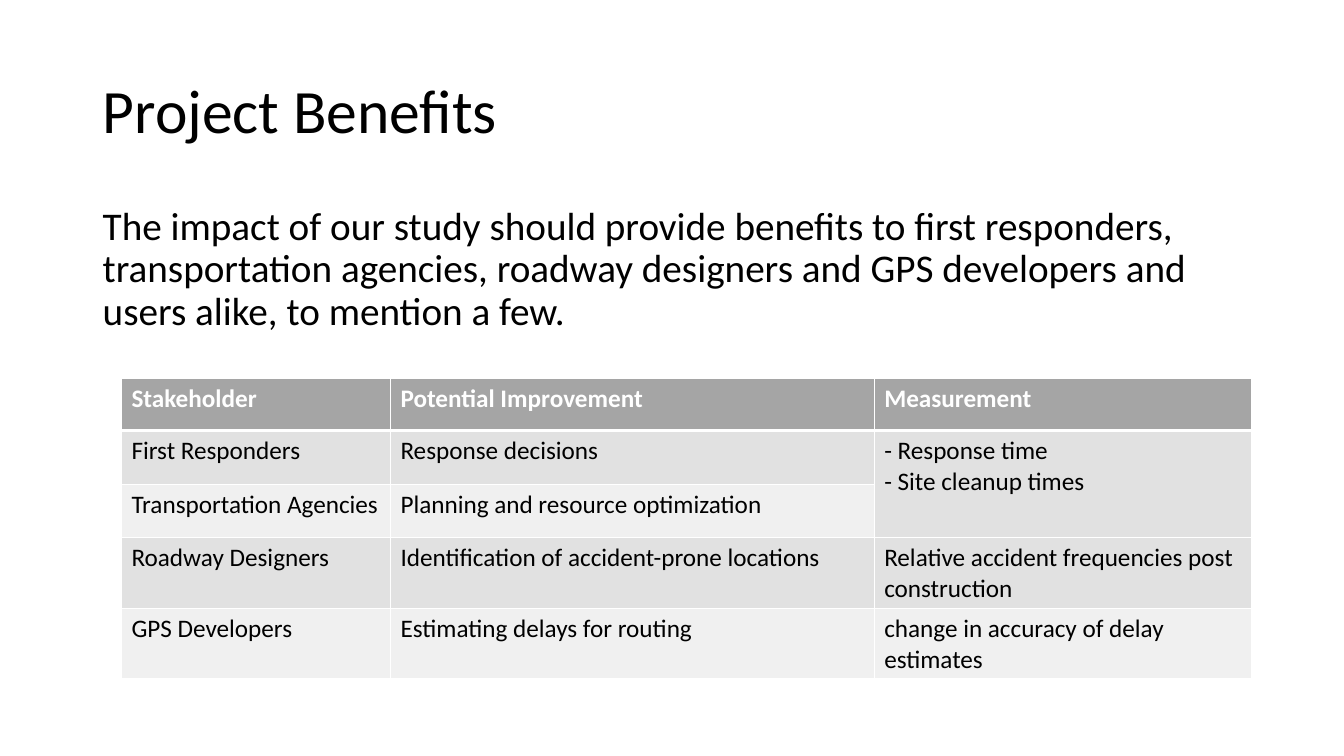
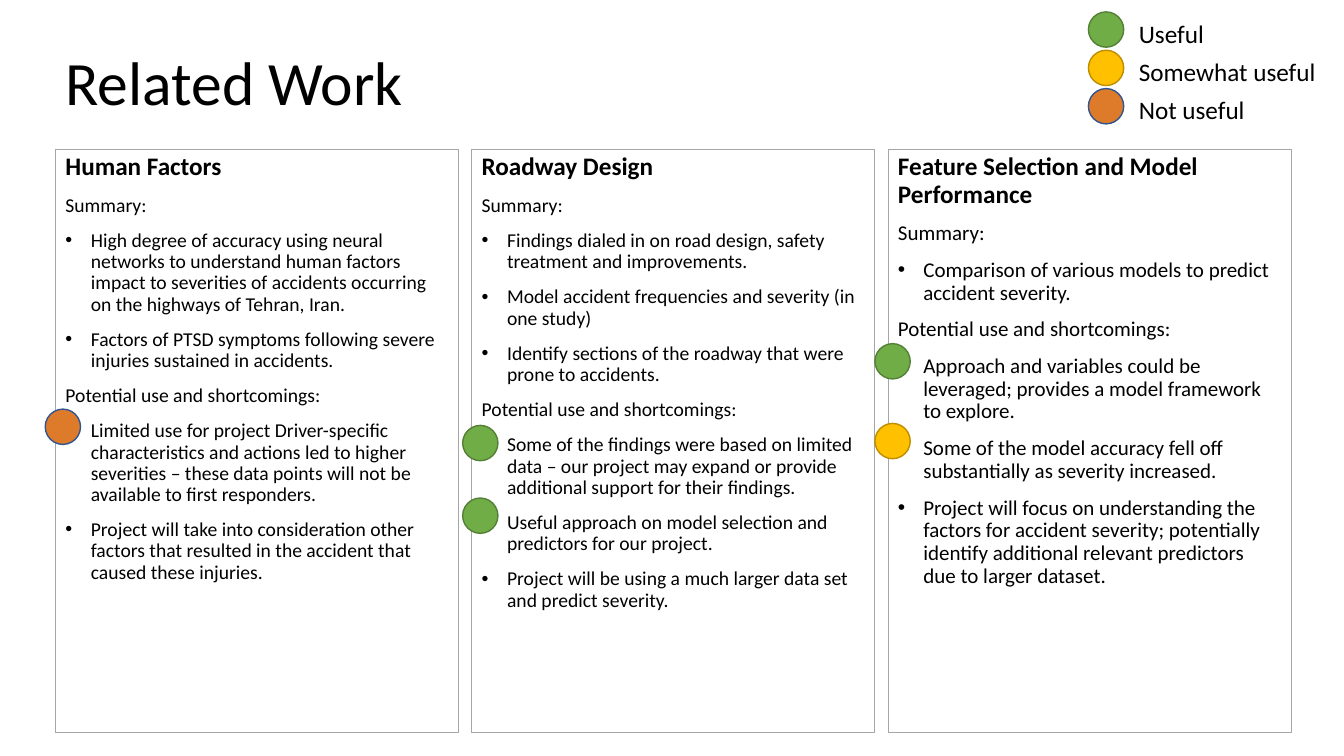
from dataclasses import dataclass

from lxml import etree
from pptx import Presentation
from pptx.dml.color import RGBColor
from pptx.enum.shapes import MSO_SHAPE
from pptx.enum.text import MSO_ANCHOR
from pptx.oxml.ns import qn
from pptx.util import Cm, Pt

RECT, OVAL = MSO_SHAPE.RECTANGLE, MSO_SHAPE.OVAL
TOP, MIDDLE = MSO_ANCHOR.TOP, MSO_ANCHOR.MIDDLE

FONT = "Calibri"
BLACK = RGBColor(0x00, 0x00, 0x00)
WHITE = RGBColor(0xFF, 0xFF, 0xFF)
HEADER_GREY = RGBColor(0xA5, 0xA5, 0xA5)
BAND_DARK = RGBColor(0xE1, 0xE1, 0xE1)
BAND_LIGHT = RGBColor(0xF0, 0xF0, 0xF0)
FRAME_GREY = RGBColor(0xA6, 0xA6, 0xA6)

USEFUL, SOMEWHAT, NOT_USEFUL = "Useful", "Somewhat useful", "Not useful"
RATINGS = {
    USEFUL: (RGBColor(0x70, 0xAD, 0x47), RGBColor(0x53, 0x80, 0x35)),
    SOMEWHAT: (RGBColor(0xFF, 0xC0, 0x00), RGBColor(0xBD, 0x8E, 0x00)),
    NOT_USEFUL: (RGBColor(0xDE, 0x7B, 0x2A), RGBColor(0x32, 0x54, 0x91)),
}
DOT = 0.89
INDENT = 0.64

INTRO = ("The impact of our study should provide benefits to first responders, "
         "transportation agencies, roadway designers and GPS developers and "
         "users alike, to mention a few.")
BENEFITS = [
    ["Stakeholder", "Potential Improvement", "Measurement"],
    ["First Responders", "Response decisions",
     "- Response time\n- Site cleanup times"],
    ["Transportation Agencies", "Planning and resource optimization", ""],
    ["Roadway Designers", "Identification of accident-prone locations",
     "Relative accident frequencies post construction"],
    ["GPS Developers", "Estimating delays for routing",
     "change in accuracy of delay estimates"],
]
COL_WIDTHS = [6.78, 12.19, 9.5]
HEADER_HEIGHT, ROW_HEIGHT = 1.32, 1.35


@dataclass
class Box:
    """A region in centimetres."""
    left: float
    top: float
    width: float
    height: float

    def lengths(self):
        """Return the region as slide lengths."""
        return Cm(self.left), Cm(self.top), Cm(self.width), Cm(self.height)


@dataclass
class Topic:
    """One column of related work, with dots as (rating, offset from top)."""
    heading: str
    size: int
    summary: list
    uses: list
    dot_left: float
    dots: list


TOPICS = [
    Topic("Human Factors", 14, [
        "High degree of accuracy using neural networks to understand human "
        "factors impact to severities of accidents occurring on the highways "
        "of Tehran, Iran.",
        "Factors of PTSD symptoms following severe injuries sustained in "
        "accidents.",
    ], [
        "Limited use for project Driver-specific characteristics and actions "
        "led to higher severities – these data points will not be available "
        "to first responders.",
        "Project will take into consideration other factors that resulted in "
        "the accident that caused these injuries.",
    ], -0.26, [(NOT_USEFUL, 6.55)]),
    Topic("Roadway Design", 14, [
        "Findings dialed in on road design, safety treatment and improvements.",
        "Model accident frequencies and severity (in one study)",
        "Identify sections of the roadway that were prone to accidents.",
    ], [
        "Some of the findings were based on limited data – our project may "
        "expand or provide additional support for their findings.",
        "Useful approach on model selection and predictors for our project.",
        "Project will be using a much larger data set and predict severity.",
    ], -0.23, [(USEFUL, 6.96), (USEFUL, 8.79)]),
    Topic("Feature Selection and Model Performance", 15, [
        "Comparison of various models to predict accident severity.",
    ], [
        "Approach and variables could be leveraged; provides a model framework "
        "to explore.",
        "Some of the model accuracy fell off substantially as severity "
        "increased.",
        "Project will focus on understanding the factors for accident "
        "severity; potentially identify additional relevant predictors due to "
        "larger dataset.",
    ], -0.33, [(USEFUL, 4.9), (SOMEWHAT, 6.91)]),
]


def add_run(p, text, size, color=BLACK, bold=False):
    """Add one styled run to a paragraph."""
    r = p.add_run()
    r.text = text
    r.font.name = FONT
    r.font.size = Pt(size)
    r.font.bold = bold
    r.font.color.rgb = color


def add_text(s, box, text, size, anchor=TOP, spacing=0.9):
    """Add a wrapping text box with a single paragraph."""
    tf = s.shapes.add_textbox(*box.lengths()).text_frame
    tf.word_wrap = True
    tf.vertical_anchor = anchor
    p = tf.paragraphs[0]
    p.line_spacing = spacing
    add_run(p, text, size)


def add_title(s, box, text):
    """Add the slide title."""
    add_text(s, box, text, 44, MIDDLE)


def add_bullet(p):
    """Give a paragraph a hanging round bullet."""
    pPr = p._p.get_or_add_pPr()
    pPr.set("marL", str(Cm(INDENT)))
    pPr.set("indent", str(-Cm(INDENT)))
    etree.SubElement(pPr, qn("a:buFont"), typeface="Arial")
    etree.SubElement(pPr, qn("a:buChar"), char="•")


def add_dot(s, left, top, rating):
    """Add a rating dot."""
    fill, line = RATINGS[rating]
    sp = s.shapes.add_shape(OVAL, *Box(left, top, DOT, DOT).lengths())
    sp.shadow.inherit = False
    sp.fill.solid()
    sp.fill.fore_color.rgb = fill
    sp.line.color.rgb = line
    sp.line.width = Pt(1)


def set_borders(cell, top, bottom):
    """Draw white cell borders, with top and bottom widths in points."""
    tcPr = cell._tc.get_or_add_tcPr()
    for side, width in (("L", 1), ("R", 1), ("T", top), ("B", bottom)):
        ln = etree.SubElement(tcPr, qn(f"a:ln{side}"), w=str(Pt(width)))
        fill = etree.SubElement(ln, qn("a:solidFill"))
        etree.SubElement(fill, qn("a:srgbClr"), val=str(WHITE))


def add_benefits_table(s, box):
    """Add the stakeholder table."""
    table = s.shapes.add_table(len(BENEFITS), len(COL_WIDTHS),
                               *box.lengths()).table
    for column, width in zip(table.columns, COL_WIDTHS):
        column.width = Cm(width)
    for i, texts in enumerate(BENEFITS):
        header = i == 0
        table.rows[i].height = Cm(HEADER_HEIGHT if header else ROW_HEIGHT)
        band = HEADER_GREY if header else BAND_DARK if i % 2 else BAND_LIGHT
        for j, text in enumerate(texts):
            cell = table.cell(i, j)
            set_borders(cell, 3 if i == 1 else 1, 3 if header else 1)
            cell.fill.solid()
            cell.fill.fore_color.rgb = band
            if not text:
                table.cell(i - 1, j).merge(cell)
                continue
            tf = cell.text_frame
            for k, line in enumerate(text.split("\n")):
                p = tf.add_paragraph() if k else tf.paragraphs[0]
                add_run(p, line, 18, WHITE if header else BLACK, header)


def add_topic(s, box, topic):
    """Add a framed topic column and its rating dots."""
    sp = s.shapes.add_shape(RECT, *box.lengths())
    sp.shadow.inherit = False
    sp.fill.background()
    sp.line.color.rgb = FRAME_GREY
    sp.line.width = Pt(0.75)
    tf = sp.text_frame
    tf.word_wrap = True
    tf.vertical_anchor = TOP
    add_run(tf.paragraphs[0], topic.heading, 18, bold=True)
    for label, points in (("Summary:", topic.summary),
                          ("Potential use and shortcomings:", topic.uses)):
        add_run(tf.add_paragraph(), label, topic.size)
        for point in points:
            p = tf.add_paragraph()
            add_bullet(p)
            add_run(p, point, topic.size)
    for p in tf.paragraphs:
        p.alignment = 1
        p.line_spacing = 0.9
        p.space_before = Pt(10)
    for rating, offset in topic.dots:
        add_dot(s, box.left + topic.dot_left, box.top + offset, rating)


def add_legend(s, box):
    """Add the key to the rating dots."""
    pitch = box.height / len(RATINGS)
    for i, rating in enumerate(RATINGS):
        top = box.top + i * pitch
        add_dot(s, box.left, top, rating)
        label = Box(box.left + 1.02, top + 0.18, box.width - 1.02, 0.71)
        add_text(s, label, rating, 18, MIDDLE, 1.0)


def build_benefits(s):
    """Build the project benefits slide."""
    add_title(s, Box(2.34, 1.02, 29.21, 3.68), "Project Benefits")
    add_text(s, Box(2.34, 5.08, 29.21, 3.68), INTRO, 28)
    height = HEADER_HEIGHT + ROW_HEIGHT * (len(BENEFITS) - 1)
    add_benefits_table(s, Box(3.06, 9.53, sum(COL_WIDTHS), height))


def build_related_work(s):
    """Build the related work slide."""
    add_title(s, Box(1.4, 1.07, 18.59, 2.18), "Related Work")
    for i, topic in enumerate(TOPICS):
        add_topic(s, Box(1.4 + i * 10.49, 3.76, 10.16, 14.71), topic)
    add_legend(s, Box(27.43, 0.3, 6.1, 2.9))


prs = Presentation()
prs.slide_width, prs.slide_height = Cm(33.87), Cm(19.05)
for build in (build_benefits, build_related_work):
    build(prs.slides.add_slide(prs.slide_layouts[6]))
prs.save("out.pptx")
